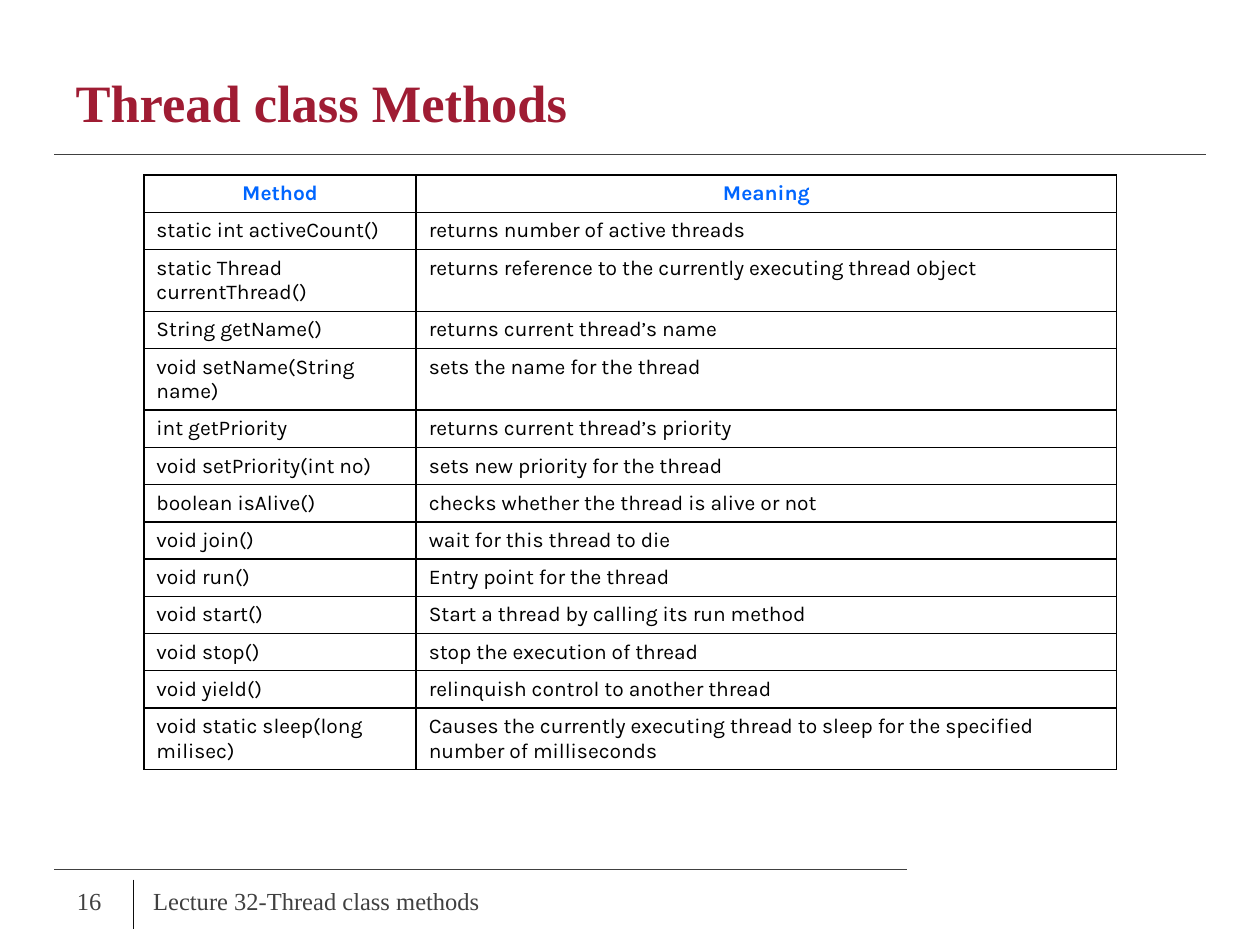
from dataclasses import dataclass

from lxml import etree
from pptx import Presentation
from pptx.dml.color import RGBColor
from pptx.enum.shapes import MSO_CONNECTOR
from pptx.enum.text import MSO_ANCHOR, MSO_AUTO_SIZE, PP_ALIGN
from pptx.oxml.ns import qn
from pptx.util import Cm, Pt

LEFT, CENTER = PP_ALIGN.LEFT, PP_ALIGN.CENTER
MIDDLE = MSO_ANCHOR.MIDDLE
STRAIGHT = MSO_CONNECTOR.STRAIGHT


@dataclass(frozen=True)
class Theme:
    serif: str = "Times New Roman"
    sans: str = "Karla"
    title: str = "9F1C33"
    header: str = "0066FF"
    body: str = "000000"
    muted: str = "404040"
    divider: str = "0D0D0D"
    paper: str = "FFFFFF"
    title_size: int = 30
    table_size: int = 12
    footer_size: int = 14


T = Theme()


def write(tf, text, font=T.sans, size=T.table_size, color=T.body, bold=False, align=LEFT):
    tf.word_wrap = True
    p = tf.paragraphs[0]
    p.alignment = align
    r = p.add_run()
    r.text = text
    r.font.name = font
    r.font.size = Pt(size)
    r.font.bold = bold
    r.font.color.rgb = RGBColor.from_string(color)


def set_borders(cell, color, width):
    """Draw all four edges; they must precede the fill in tcPr."""
    tc_pr = cell._tc.get_or_add_tcPr()
    for i, edge in enumerate(("a:lnL", "a:lnR", "a:lnT", "a:lnB")):
        ln = etree.Element(qn(edge), w=str(Pt(width)))
        fill = etree.SubElement(ln, qn("a:solidFill"))
        etree.SubElement(fill, qn("a:srgbClr"), val=color)
        tc_pr.insert(i, ln)


prs = Presentation()
prs.slide_width, prs.slide_height = Cm(25.4), Cm(19.05)
s = prs.slides.add_slide(prs.slide_layouts[5])

# Rules: x1, y1, x2, y2, colour
rules = [
    (1.09, 3.12, 24.31, 3.12, T.muted),
    (1.09, 17.53, 18.29, 17.53, T.muted),
    (2.69, 17.73, 2.69, 18.72, T.divider),
]
for x1, y1, x2, y2, color in rules:
    line = s.shapes.add_connector(STRAIGHT, Cm(x1), Cm(y1), Cm(x2), Cm(y2))
    line.line.color.rgb = RGBColor.from_string(color)
    line.line.width = Pt(0.75)
    etree.SubElement(line._element.spPr, qn("a:effectLst"))

# Methods table
methods = [
    ("Method", "Meaning"),
    ("static int activeCount()", "returns number of active threads"),
    ("static Thread currentThread()", "returns reference to the currently executing thread object"),
    ("String getName()", "returns current thread’s name"),
    ("void setName(String name)", "sets the name for the thread"),
    ("int getPriority", "returns current thread’s priority"),
    ("void setPriority(int no)", "sets new priority for the thread"),
    ("boolean isAlive()", "checks whether the thread is alive or not"),
    ("void join()", "wait for this thread to die"),
    ("void run()", "Entry point for the thread"),
    ("void start()", "Start a thread by calling its run method"),
    ("void stop()", "stop the execution of thread"),
    ("void yield()", "relinquish control to another thread"),
    ("void static sleep(long milisec)",
     "Causes the currently executing thread to sleep for the specified number of milliseconds"),
]
header_height, row_height, tall_height = 0.75, 0.69, 1.22
tall_rows = {2, 4, 13}
heights = [header_height] + [tall_height if i in tall_rows else row_height
                             for i in range(1, len(methods))]
widths = (5.49, 14.12)

table = s.shapes.add_table(len(methods), len(widths), Cm(2.9), Cm(3.53),
                           Cm(sum(widths)), Cm(sum(heights))).table
table.horz_banding = False
for col, width in zip(table.columns, widths):
    col.width = Cm(width)
for i, (row, height) in enumerate(zip(table.rows, heights)):
    row.height = Cm(height)
    style = dict(color=T.header, bold=True, align=CENTER) if i == 0 else {}
    for cell, text in zip(row.cells, methods[i]):
        cell.fill.solid()
        cell.fill.fore_color.rgb = RGBColor.from_string(T.paper)
        set_borders(cell, T.body, 1)
        write(cell.text_frame, text, **style)

# Title
title = s.shapes.title
title.left, title.top, title.width, title.height = Cm(1.27), Cm(0.91), Cm(22.86), Cm(2.29)
title.text_frame.vertical_anchor = MIDDLE
title.text_frame.auto_size = MSO_AUTO_SIZE.NONE
write(title.text_frame, "Thread class Methods", font=T.serif, size=T.title_size,
      color=T.title, bold=True)

# Footer: slide number and lecture name
for left, width, text in [(1.3, 1.32, "16"), (2.84, 11.23, "Lecture 32-Thread class methods")]:
    tf = s.shapes.add_textbox(Cm(left), Cm(17.65), Cm(width), Cm(1.02)).text_frame
    tf.vertical_anchor = MIDDLE
    write(tf, text, font=T.serif, size=T.footer_size, color=T.muted)

prs.save("out.pptx")
